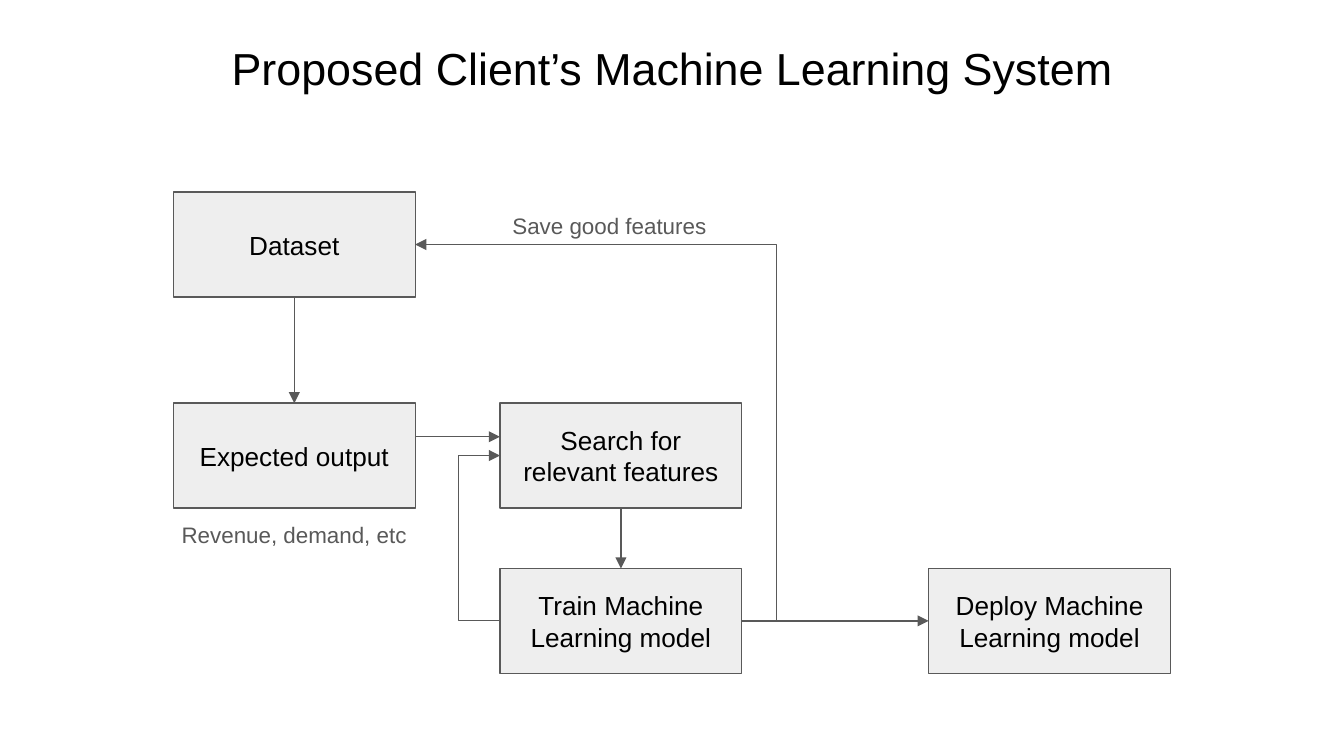
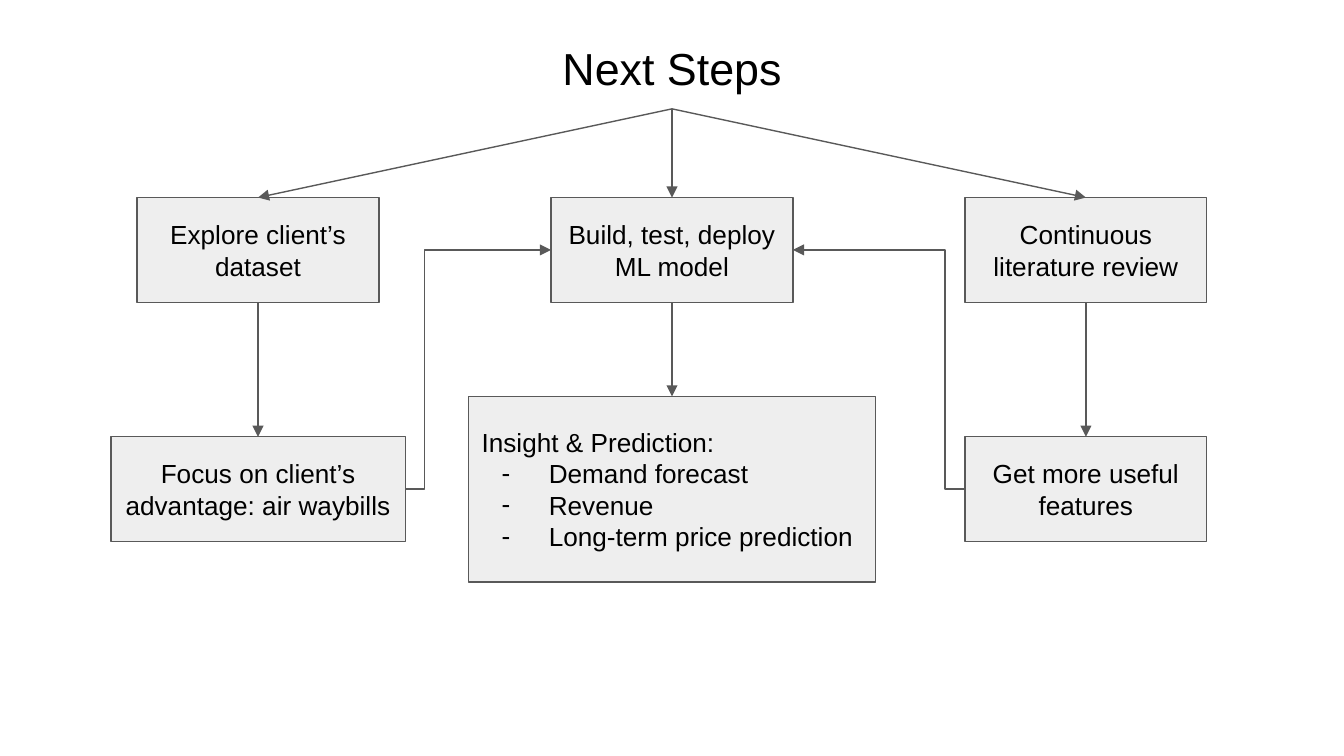
import pptx
import pptx.util
import pptx.dml.color
import pptx.enum.shapes
import pptx.enum.text
import pptx.oxml.ns
import lxml.etree

BLACK = pptx.dml.color.RGBColor(0x00, 0x00, 0x00)
GREY = pptx.dml.color.RGBColor(0x59, 0x59, 0x59)
PALE = pptx.dml.color.RGBColor(0xEE, 0xEE, 0xEE)

# Grid: 100 columns across the slide, with rows of the same size
COLS, ROWS = 100, 56.25
UNIT = pptx.util.Inches(0.1)
BOX_W, BOX_H = 18, 7.8

TITLE = {"size": pptx.util.Pt(24), "name": "Arial"}
BODY = {"size": pptx.util.Pt(14), "name": "Arial"}
NOTE = {"size": pptx.util.Pt(12), "name": "Arial"}

# Connection sites of a rectangle
TOP, LEFT, BOTTOM, RIGHT = range(4)

ALIGN = pptx.enum.text.PP_ALIGN
CONNECTOR = pptx.enum.shapes.MSO_CONNECTOR


def grid(*cells):
    return [round(c * UNIT) for c in cells]


def add_xml(parent, tag, **attrs):
    return lxml.etree.SubElement(parent, pptx.oxml.ns.qn(tag), attrs)


def add_dash(p):
    """Give a paragraph a hanging dash bullet."""
    pPr = p._p.get_or_add_pPr()
    pPr.set("marL", str(pptx.util.Inches(0.5)))
    pPr.set("indent", str(pptx.util.Inches(-0.35)))
    add_xml(add_xml(pPr, "a:buClr"), "a:srgbClr", val=str(BLACK))
    add_xml(pPr, "a:buFont", typeface="Arial")
    add_xml(pPr, "a:buChar", char="-")


def write(tf, lines, fmt, color, align=ALIGN.CENTER, dashed=False):
    """Write one paragraph per line; dashed marks all lines but the first."""
    frame = dict.fromkeys(
        ("margin_left", "margin_top", "margin_right", "margin_bottom"), UNIT)
    for key, value in {**frame, "word_wrap": True}.items():
        setattr(tf, key, value)
    for i, line in enumerate(lines):
        p = tf.add_paragraph() if i else tf.paragraphs[0]
        p.alignment = align
        if dashed and i:
            add_dash(p)
        r = p.add_run()
        r.text = line
        for key, value in fmt.items():
            setattr(r.font, key, value)
        r.font.color.rgb = color


def add_label(s, text, x, y, w, h, fmt=NOTE, color=GREY):
    sp = s.shapes.add_textbox(*grid(x, y, w, h))
    write(sp.text_frame, [text], fmt, color)
    sp.text_frame.auto_size = pptx.enum.text.MSO_AUTO_SIZE.SHAPE_TO_FIT_TEXT
    return sp


def add_title(s, text):
    return add_label(s, text, 13.8, 2, 72.4, 6.1, TITLE, BLACK)


def add_box(s, lines, x, y, w=BOX_W, h=BOX_H, **layout):
    sp = s.shapes.add_shape(
        pptx.enum.shapes.MSO_SHAPE.RECTANGLE, *grid(x, y, w, h))
    sp.shadow.inherit = False
    sp.fill.solid()
    sp.fill.fore_color.rgb = PALE
    sp.line.color.rgb = GREY
    sp.line.width = pptx.util.Pt(0.75)
    write(sp.text_frame, lines, BODY, BLACK, **layout)
    sp.text_frame.vertical_anchor = pptx.enum.text.MSO_ANCHOR.MIDDLE
    return sp


def add_arrow(s, kind=CONNECTOR.STRAIGHT, ends=(0, 0, 0, 0)):
    cx = s.shapes.add_connector(kind, *grid(*ends))
    cx.line.color.rgb = GREY
    cx.line.width = pptx.util.Pt(0.75)
    add_xml(cx.line._get_or_add_ln(), "a:tailEnd", type="triangle")
    add_xml(cx.element.spPr, "a:effectLst")
    return cx


def link(s, start, start_site, end, end_site, lane=None):
    """Join two shapes; a lane is the column where an elbow turns."""
    cx = add_arrow(s, CONNECTOR.STRAIGHT if lane is None else CONNECTOR.ELBOW)
    cx.begin_connect(start, start_site)
    cx.end_connect(end, end_site)
    if lane is None:
        return
    # The turn is a share of the width, so the width must not be zero
    if cx.begin_x == cx.end_x:
        cx.end_x += 720
    turn = (lane * UNIT - cx.begin_x) / (cx.end_x - cx.begin_x)
    geom = cx.element.spPr.find(pptx.oxml.ns.qn("a:prstGeom"))
    avLst = geom.find(pptx.oxml.ns.qn("a:avLst"))
    if avLst is None:
        avLst = add_xml(geom, "a:avLst")
    add_xml(avLst, "a:gd", name="adj1", fmla=f"val {round(turn * 100000)}")


def build_system(s):
    left, middle, right = 12.9, 37.2, 69.1
    top, centre, bottom = 14.3, 30, 42.3
    expected = add_box(s, ["Expected output"], left, centre)
    search = add_box(s, ["Search for relevant features"], middle, centre)
    train = add_box(s, ["Train Machine Learning model"], middle, bottom)
    deploy = add_box(s, ["Deploy Machine Learning model"], right, bottom)
    dataset = add_box(s, ["Dataset"], left, top)

    # Flow and feedback loops
    add_arrow(s, ends=(left + BOX_W, 32.5, middle, 32.5))
    link(s, train, LEFT, search, LEFT, lane=34.1)
    link(s, train, RIGHT, dataset, RIGHT, lane=57.8)
    link(s, dataset, BOTTOM, expected, TOP)
    link(s, train, RIGHT, deploy, LEFT)
    link(s, search, BOTTOM, train, TOP)

    add_label(s, "Save good features", 36.6, 14.8, 17.5, 4)
    add_title(s, "Proposed Client’s Machine Learning System")
    add_label(s, "Revenue, demand, etc", 11.4, 37.8, 21, 4)


def build_next_steps(s):
    title = add_title(s, "Next Steps")
    steps = ["Explore client’s dataset", "Build, test, deploy ML model",
             "Continuous literature review"]
    columns = [10.2 + 30.8 * i for i in range(3)]
    explore, build, review = [
        add_box(s, [text], x, 14.7) for text, x in zip(steps, columns)]

    # Outcomes
    features = add_box(s, ["Get more useful features"], columns[2], 32.5)
    focus = add_box(
        s, ["Focus on client’s advantage: air waybills"], 8.25, 32.5, w=21.9)
    insight = add_box(
        s, ["Insight & Prediction:", "Demand forecast", "Revenue",
            "Long-term price prediction"],
        34.85, 29.5, 30.3, 13.8, align=ALIGN.LEFT, dashed=True)

    # Downward steps, then the loops back to the model
    for step, outcome in ((explore, focus), (build, insight),
                          (review, features)):
        link(s, title, BOTTOM, step, TOP)
        link(s, step, BOTTOM, outcome, TOP)
    link(s, features, LEFT, build, RIGHT, lane=70.3)
    link(s, focus, RIGHT, build, LEFT, lane=31.6)


def main():
    prs = pptx.Presentation()
    prs.slide_width, prs.slide_height = grid(COLS, ROWS)
    for build in (build_system, build_next_steps):
        build(prs.slides.add_slide(prs.slide_layouts[6]))
    prs.save("out.pptx")


if __name__ == "__main__":
    main()
